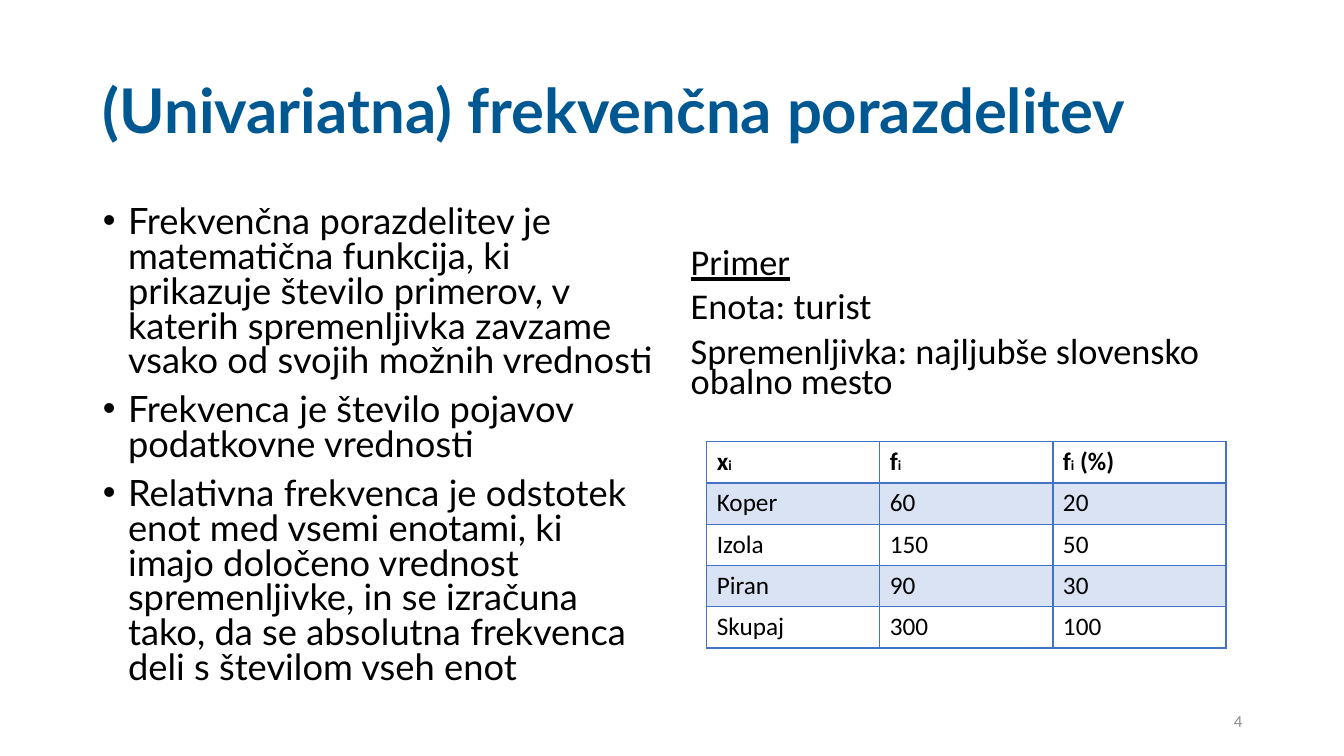
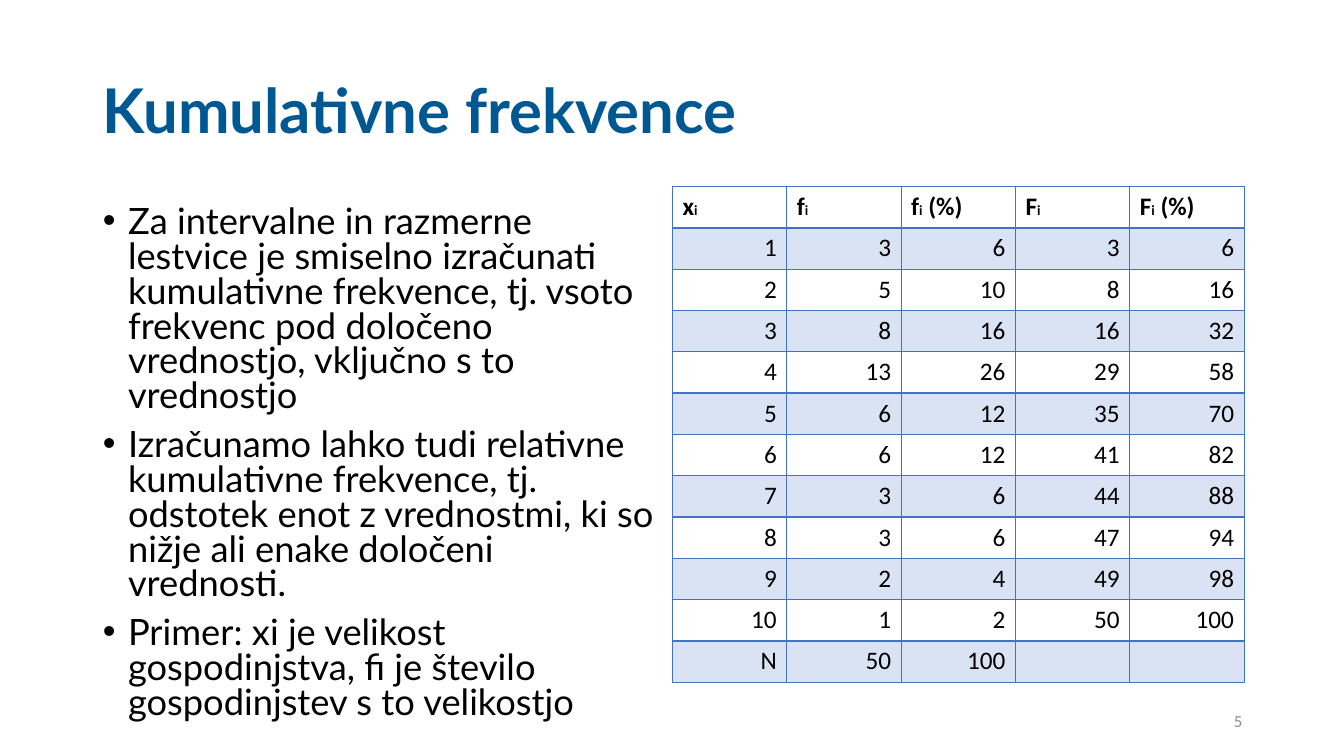
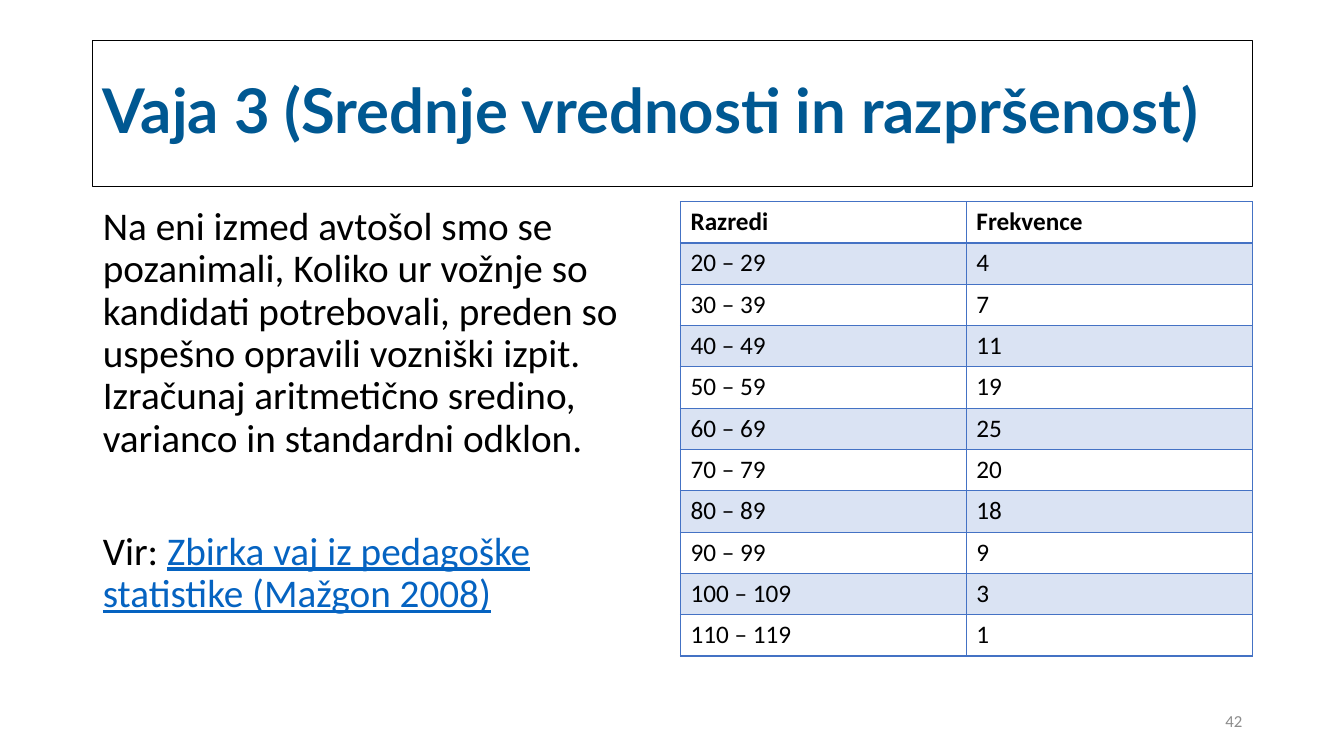
from lxml import etree
from pptx import Presentation
from pptx.dml.color import RGBColor
from pptx.enum.text import MSO_ANCHOR as Anchor, MSO_AUTO_SIZE as AutoSize, PP_ALIGN as Align
from pptx.oxml.ns import qn
from pptx.util import Inches, Pt

BLACK, WHITE, TITLE_BLUE = "000000", "FFFFFF", "005892"
GRID_BLUE, BAND_BLUE, LINK_BLUE, NUMBER_GREY = "4472C4", "DAE3F3", "0563C1", "8C8C8C"
TITLE_BOX = (0.92, 0.4, 11.5, 1.45)
LEFT_BOX = (0.92, 2, 5.67, 4.76)
RIGHT_BOX = (6.75, 2, 5.67, 4.76)
NUMBER_BOX = (9.42, 6.95, 3, 0.4)
ROW_HEIGHT = 0.41

DEFINITION = dict(font="Lato", size=25.9, spacing=0.8, bullet=True)
EXAMPLE = dict(font="Calibri", size=25.9, spacing=0.7)
EXERCISE = dict(font="Calibri", size=28, spacing=0.9)


def indexed(letter, suffix=""):
    """Header runs (text, size) for a letter with a small index i."""
    return [(letter, 18), ("i", 10)] + ([(suffix, 18)] if suffix else [])


# A paragraph is a list of runs: (text, run options).
SLIDES = [
    dict(
        number="4",
        title="(Univariatna) frekvenčna porazdelitev",
        left=([
            [("Frekvenčna porazdelitev je matematična funkcija, ki prikazuje število primerov, "
              "v katerih spremenljivka zavzame vsako od svojih možnih vrednosti", {})],
            [("Frekvenca je število pojavov podatkovne vrednosti", {})],
            [("Relativna frekvenca je odstotek enot med vsemi enotami, ki imajo določeno "
              "vrednost spremenljivke, in se izračuna tako, da se absolutna frekvenca deli "
              "s številom vseh enot", {})],
        ], DEFINITION),
        right=([
            [("Primer", dict(underline=True))],
            [("Enota: turist", {})],
            [("Spremenljivka: najljubše slovensko obalno mesto", {})],
        ], dict(EXAMPLE, top_inset=0.49)),
        table=dict(
            place=(7.01, 4.38, 5.15),
            header=[indexed("x"), indexed("f"), indexed("f", " (%)")],
            rows=[("Koper", 60, 20), ("Izola", 150, 50), ("Piran", 90, 30),
                  ("Skupaj", 300, 100)],
            align=Align.LEFT),
    ),
    dict(
        number="5",
        title="Kumulativne frekvence",
        left=([
            [("Za intervalne in razmerne lestvice je smiselno izračunati kumulativne frekvence, "
              "tj. vsoto frekvenc pod določeno vrednostjo, vključno s to vrednostjo", {})],
            [("Izračunamo lahko tudi relativne kumulativne frekvence, tj. odstotek enot "
              "z vrednostmi, ki so nižje ali enake določeni vrednosti.", {})],
            [("Primer: xi je velikost gospodinjstva, fi je število gospodinjstev "
              "s to velikostjo", {})],
        ], DEFINITION),
        table=dict(
            place=(6.67, 1.85, 5.67),
            header=[indexed("x"), indexed("f"), indexed("f", " (%)"),
                    indexed("F"), indexed("F", " (%)")],
            rows=[(1, 3, 6, 3, 6), (2, 5, 10, 8, 16), (3, 8, 16, 16, 32),
                  (4, 13, 26, 29, 58), (5, 6, 12, 35, 70), (6, 6, 12, 41, 82),
                  (7, 3, 6, 44, 88), (8, 3, 6, 47, 94), (9, 2, 4, 49, 98),
                  (10, 1, 2, 50, 100), ("N", 50, 100, "", "")],
            align=Align.RIGHT),
    ),
    dict(
        number="42",
        title="Vaja 3 (Srednje vrednosti in razpršenost)",
        framed=True,
        left=([
            [("Na eni izmed avtošol smo se pozanimali, Koliko ur vožnje so kandidati "
              "potrebovali, preden so uspešno opravili vozniški izpit. Izračunaj aritmetično "
              "sredino, varianco in standardni odklon.", {})],
            [("Vir: ", {}),
             ("Zbirka vaj iz pedagoške statistike (Mažgon 2008)",
              dict(color=LINK_BLUE, underline=True))],
        ], dict(EXERCISE, gap=50.5)),
        table=dict(
            place=(6.75, 2, 5.67),
            header=[[("Razredi", 18)], [("Frekvence", 18)]],
            rows=[(f"{low} – {low + 9}", count) for low, count in
                  zip(range(20, 120, 10), (4, 7, 11, 19, 25, 20, 18, 9, 3, 1))],
            align=Align.LEFT),
    ),
]


def rgb(color):
    return RGBColor.from_string(color)


def add_run(paragraph, text, size, font="Calibri", color=BLACK, bold=False, underline=False):
    run = paragraph.add_run()
    run.text = text
    run.font.name, run.font.size = font, Pt(size)
    run.font.bold, run.font.underline = bold, underline
    run.font.color.rgb = rgb(color)


def place(shape, box):
    shape.left, shape.top, shape.width, shape.height = map(Inches, box)


def set_indent(paragraph, bullet):
    hanging = Inches(0.25) if bullet else 0
    properties = paragraph._p.get_or_add_pPr()
    properties.set("marL", str(hanging))
    properties.set("indent", str(-hanging))
    mark = etree.SubElement(properties, qn("a:buChar" if bullet else "a:buNone"))
    if bullet:
        mark.set("char", "•")


def fill_title(title, text, framed):
    place(title, TITLE_BOX)
    if framed:
        title.fill.solid()
        title.fill.fore_color.rgb = rgb(WHITE)
        title.line.color.rgb = rgb(BLACK)
        title.line.width = Pt(1)
    frame = title.text_frame
    frame.auto_size, frame.vertical_anchor = AutoSize.NONE, Anchor.MIDDLE
    paragraph = frame.paragraphs[0]
    paragraph.alignment, paragraph.line_spacing = Align.LEFT, 0.9
    add_run(paragraph, text, 44, "Lato", TITLE_BLUE, bold=True)


def fill_body(body, box, paragraphs, font, size, spacing, bullet=False, gap=10, top_inset=0.05):
    place(body, box)
    frame = body.text_frame
    frame.auto_size, frame.margin_top = AutoSize.NONE, Inches(top_inset)
    for index, runs in enumerate(paragraphs):
        paragraph = frame.add_paragraph() if index else frame.paragraphs[0]
        paragraph.line_spacing = spacing
        paragraph.space_before = Pt(gap if index else 10)
        set_indent(paragraph, bullet)
        for text, options in runs:
            add_run(paragraph, text, size, font, **options)


def set_borders(cell, widths):
    """Draw the cell borders; widths in points for left, right, top, bottom."""
    properties = cell._tc.get_or_add_tcPr()
    for side, width in zip("LRTB", widths):
        line = etree.SubElement(properties, qn(f"a:ln{side}"), w=str(Pt(width)))
        solid = etree.SubElement(line, qn("a:solidFill"))
        etree.SubElement(solid, qn("a:srgbClr"), val=GRID_BLUE)


def add_frequency_table(slide, place, header, rows, align):
    left, top, width = place
    body_rows = [[[(str(value), 18)] if value != "" else [] for value in row] for row in rows]
    grid = [header] + body_rows
    table = slide.shapes.add_table(
        len(grid), len(header), Inches(left), Inches(top),
        Inches(width), Inches(ROW_HEIGHT * len(grid))).table
    table.horz_banding = False
    for column in table.columns:
        column.width = Inches(width / len(header))
    for r, row in enumerate(grid):
        table.rows[r].height = Inches(ROW_HEIGHT)
        for c, runs in enumerate(row):
            cell = table.cell(r, c)
            set_borders(cell, (1, 1, 2 if r == 1 else 1, 2 if r == 0 else 1))
            if r % 2:
                cell.fill.solid()
                cell.fill.fore_color.rgb = rgb(BAND_BLUE)
            else:
                cell.fill.background()
            paragraph = cell.text_frame.paragraphs[0]
            paragraph.alignment = align if r else Align.LEFT
            for text, size in runs:
                add_run(paragraph, text, size, bold=r == 0)


def add_slide_number(slide, number):
    frame = slide.shapes.add_textbox(*map(Inches, NUMBER_BOX)).text_frame
    frame.word_wrap, frame.vertical_anchor = True, Anchor.MIDDLE
    frame.paragraphs[0].alignment = Align.RIGHT
    add_run(frame.paragraphs[0], number, 12, color=NUMBER_GREY)


def build_slide(deck, content):
    slide = deck.slides.add_slide(deck.slide_layouts[3])
    title, left, right = slide.placeholders
    fill_title(title, content["title"], content.get("framed", False))
    paragraphs, style = content["left"]
    fill_body(left, LEFT_BOX, paragraphs, **style)
    if "right" in content:
        paragraphs, style = content["right"]
        fill_body(right, RIGHT_BOX, paragraphs, **style)
    else:
        right._element.getparent().remove(right._element)
    add_frequency_table(slide, **content["table"])
    add_slide_number(slide, content["number"])


def main():
    deck = Presentation()
    deck.slide_width, deck.slide_height = Inches(13.33), Inches(7.5)
    for content in SLIDES:
        build_slide(deck, content)
    deck.save("out.pptx")


if __name__ == "__main__":
    main()
